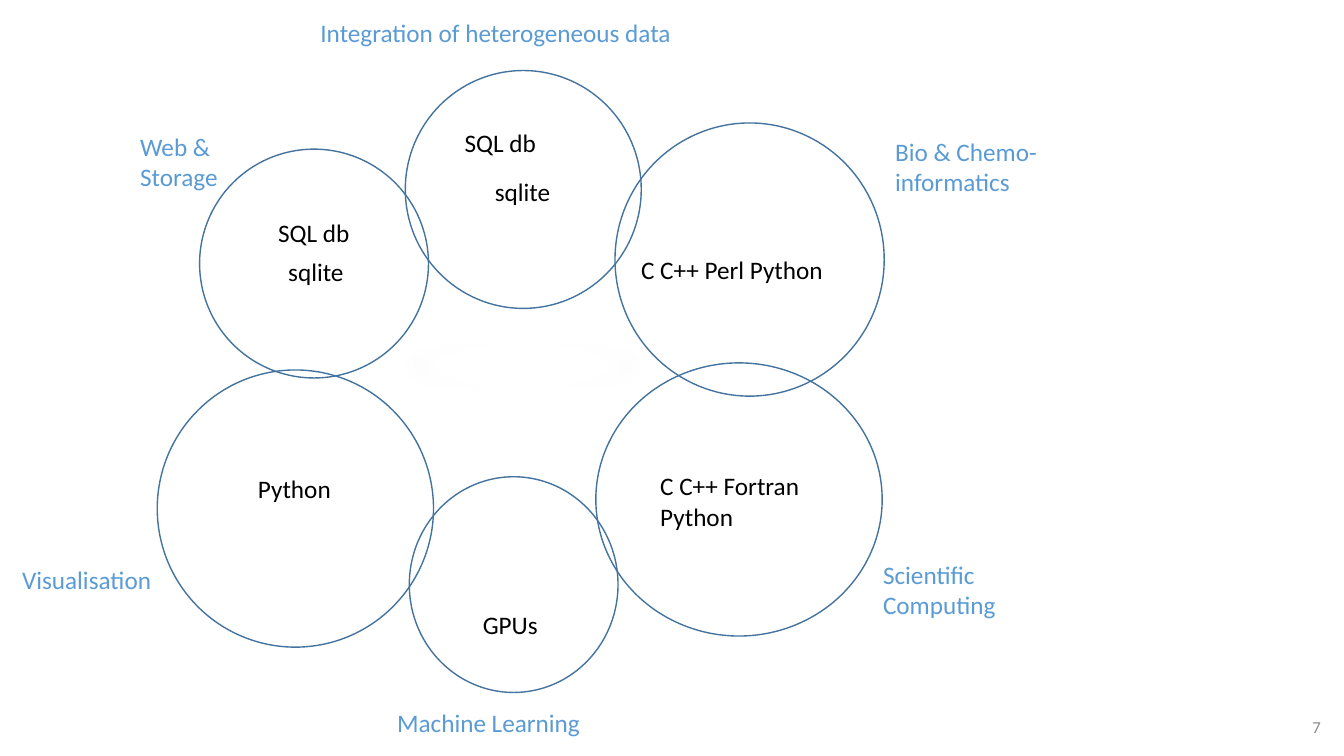
from lxml import etree
from pptx import Presentation
from pptx import util as u
from pptx.dml.color import RGBColor
from pptx.enum import shapes, text
from pptx.oxml import ns

# left, top, width, height
CIRCLES = {
    "Machine Learning": (4.06, 4.73, 2.07, 2.14),
    "Bio & Chemo-informatics": (6.1, 1.22, 2.67, 2.71),
    "Scientific Computing": (5.91, 3.6, 2.84, 2.71),
    "Web & Storage": (1.98, 1.48, 2.27, 2.27),
    "Integration of heterogeneous data": (4.02, 0.7, 2.34, 2.36),
    "Visualisation": (1.56, 3.67, 2.74, 2.75),
}
SHADOWED_FIELD = "Integration of heterogeneous data"

FIELD_LABELS = {
    "Scientific Computing": (8.66, 5.5, 1.53, 0.7),
    "Machine Learning": (3.84, 6.97, 2.34, 0.42),
    "Bio & Chemo-informatics": (8.78, 1.3, 1.98, 0.72),
    "Web & Storage": (1.29, 1.25, 1.32, 0.72),
    "Integration of heterogeneous data": (3.08, 0.12, 4.63, 0.42),
    "Visualisation": (0.12, 5.55, 1.85, 0.42),
}

# wording, place, wraps
TOOLS = [
    ("SQL db", (4.51, 1.21, 0.99, 0.42), False),
    ("sqlite", (4.81, 1.7, 0.79, 0.42), False),
    ("C C++ Perl Python", (6.26, 2.47, 2.48, 0.42), False),
    ("C C++ Fortran Python", (6.45, 4.62, 2.06, 0.72), True),
    ("Python", (2.46, 4.65, 0.98, 0.42), False),
    ("SQL db", (2.66, 2.11, 0.99, 0.42), False),
    ("sqlite", (2.76, 2.49, 0.79, 0.42), False),
    ("GPUs", (4.69, 6, 0.99, 0.42), False),
]


def colour(value):
    return RGBColor.from_string(value)


def inches(place):
    return [u.Inches(length) for length in place]


class Painter:
    font = "Calibri"
    outline = "43739E"
    accent = "5B9BD5"
    ink = "000000"
    muted = "8C8C8C"

    def __init__(self, page):
        self.page = page

    def circle(self, place, shadowed=False):
        ring = self.page.shapes.add_shape(
            shapes.MSO_SHAPE.OVAL, *inches(place))
        ring.fill.background()
        ring.line.color.rgb = colour(self.outline)
        ring.line.width = u.Pt(1)
        ring.shadow.inherit = False
        if shadowed:
            self.floor_shadow(ring)

    def floor_shadow(self, ring):
        """Lay a flattened, faint shadow below the ring."""
        effects = ring.element.spPr.find(ns.qn("a:effectLst"))
        shadow = etree.SubElement(
            effects, ns.qn("a:outerShdw"), blurRad=str(u.Pt(12)),
            dist=str(u.Pt(25)), dir="5400000", sx="90000", sy="-19000",
            rotWithShape="0")
        tint = etree.SubElement(shadow, ns.qn("a:srgbClr"), val=self.ink)
        etree.SubElement(tint, ns.qn("a:alpha"), val="15000")

    def label(self, wording, place, *, tint, size=18, wrap=True, grow=True,
              align=text.PP_ALIGN.LEFT, anchor=text.MSO_ANCHOR.TOP):
        box = self.page.shapes.add_textbox(*inches(place))
        frame = box.text_frame
        frame.word_wrap = wrap
        frame.vertical_anchor = anchor
        if grow:
            frame.auto_size = text.MSO_AUTO_SIZE.SHAPE_TO_FIT_TEXT
        para = frame.paragraphs[0]
        para.alignment = align
        span = para.add_run()
        span.text = wording
        span.font.name = self.font
        span.font.size = u.Pt(size)
        span.font.color.rgb = colour(tint)


def main():
    deck = Presentation()
    deck.slide_width = u.Inches(13.33)
    deck.slide_height = u.Inches(7.5)
    blank_layout = deck.slide_layouts[6]
    painter = Painter(deck.slides.add_slide(blank_layout))

    for field, place in CIRCLES.items():
        painter.circle(place, shadowed=field == SHADOWED_FIELD)
    for field, place in FIELD_LABELS.items():
        painter.label(field, place, tint=painter.accent)
    for tool, place, wrap in TOOLS:
        painter.label(tool, place, tint=painter.ink, wrap=wrap)
    painter.label("7", (10.2, 7.01, 3, 0.4), tint=painter.muted, size=12,
                  grow=False, align=text.PP_ALIGN.RIGHT,
                  anchor=text.MSO_ANCHOR.MIDDLE)

    deck.save("out.pptx")


if __name__ == "__main__":
    main()
